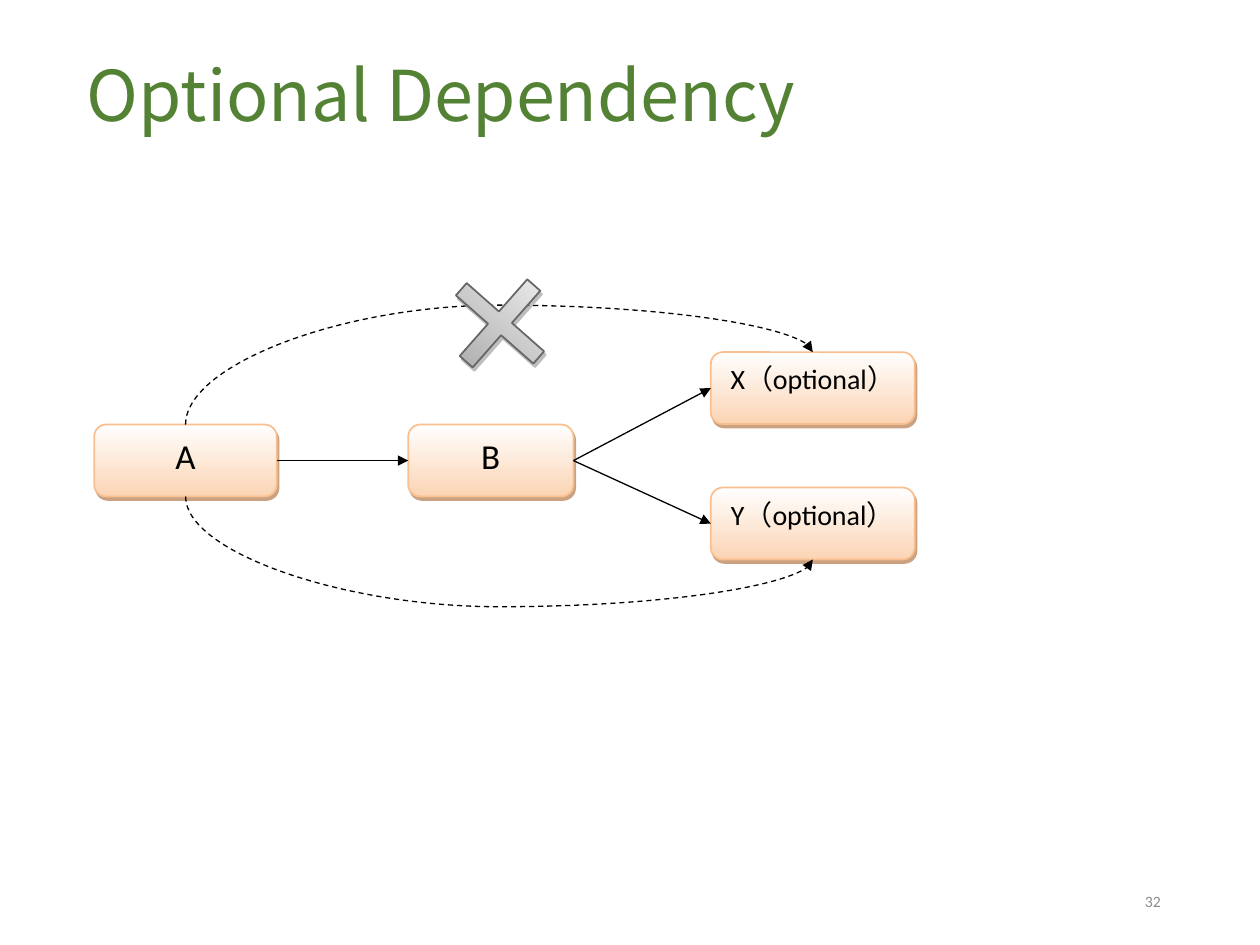
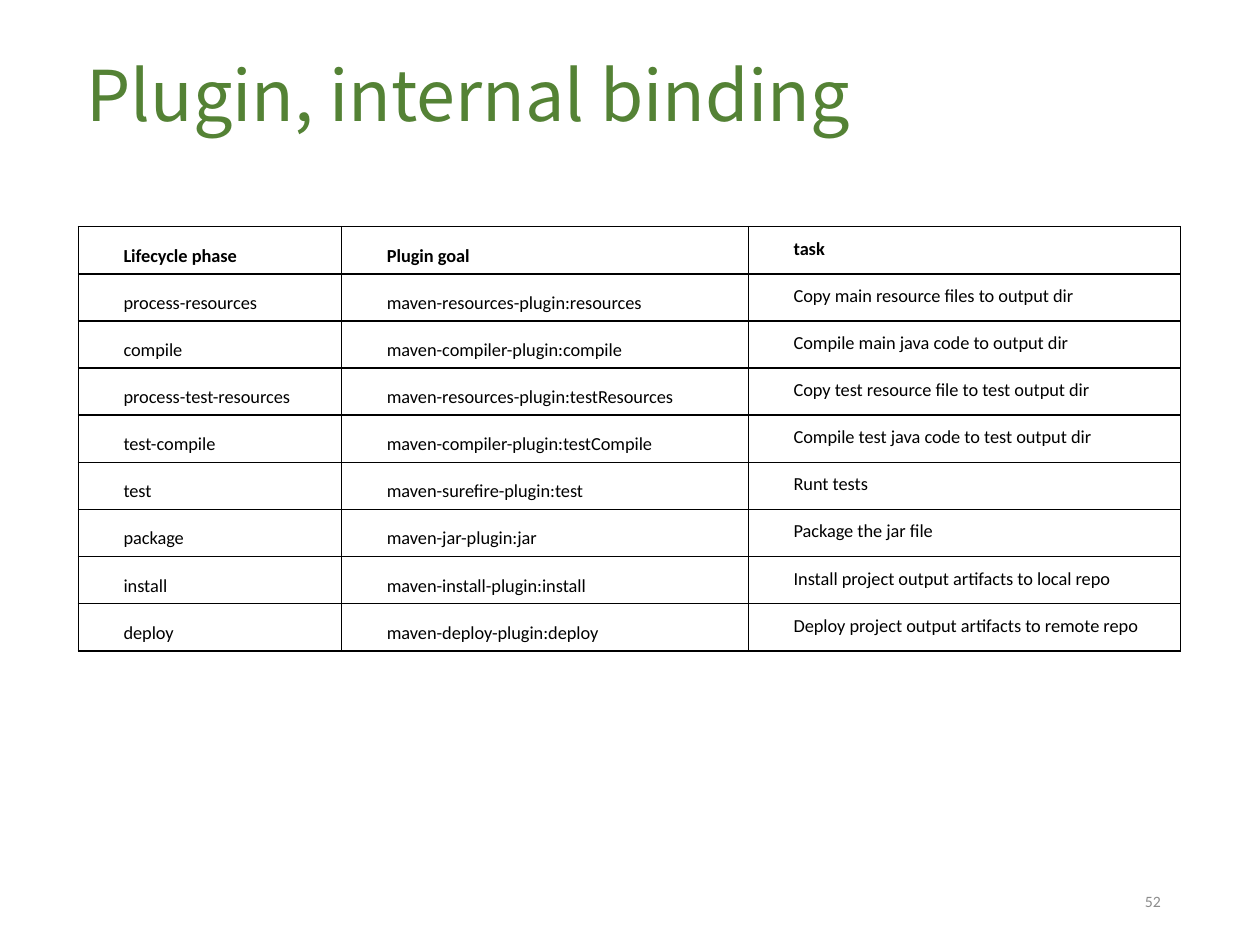
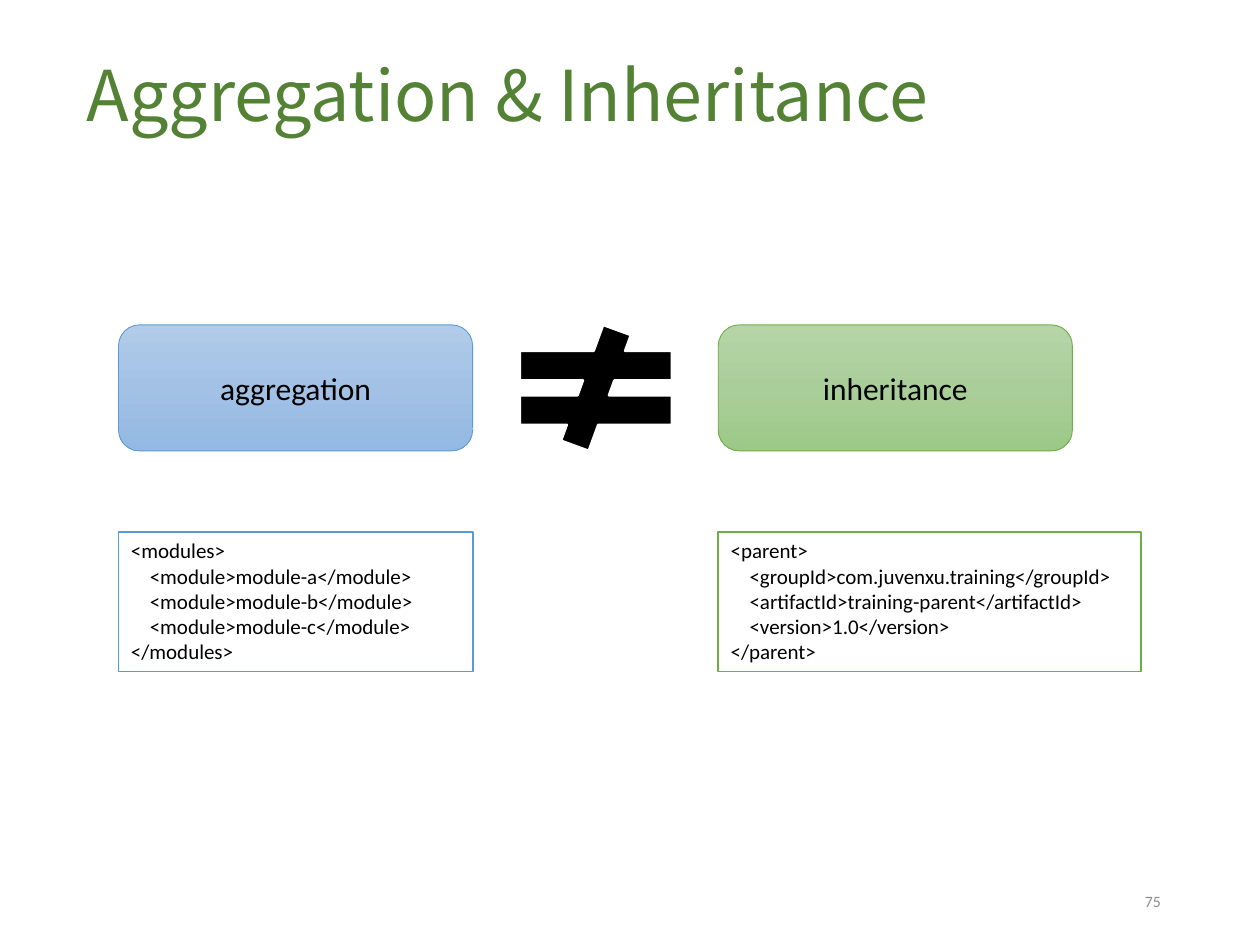
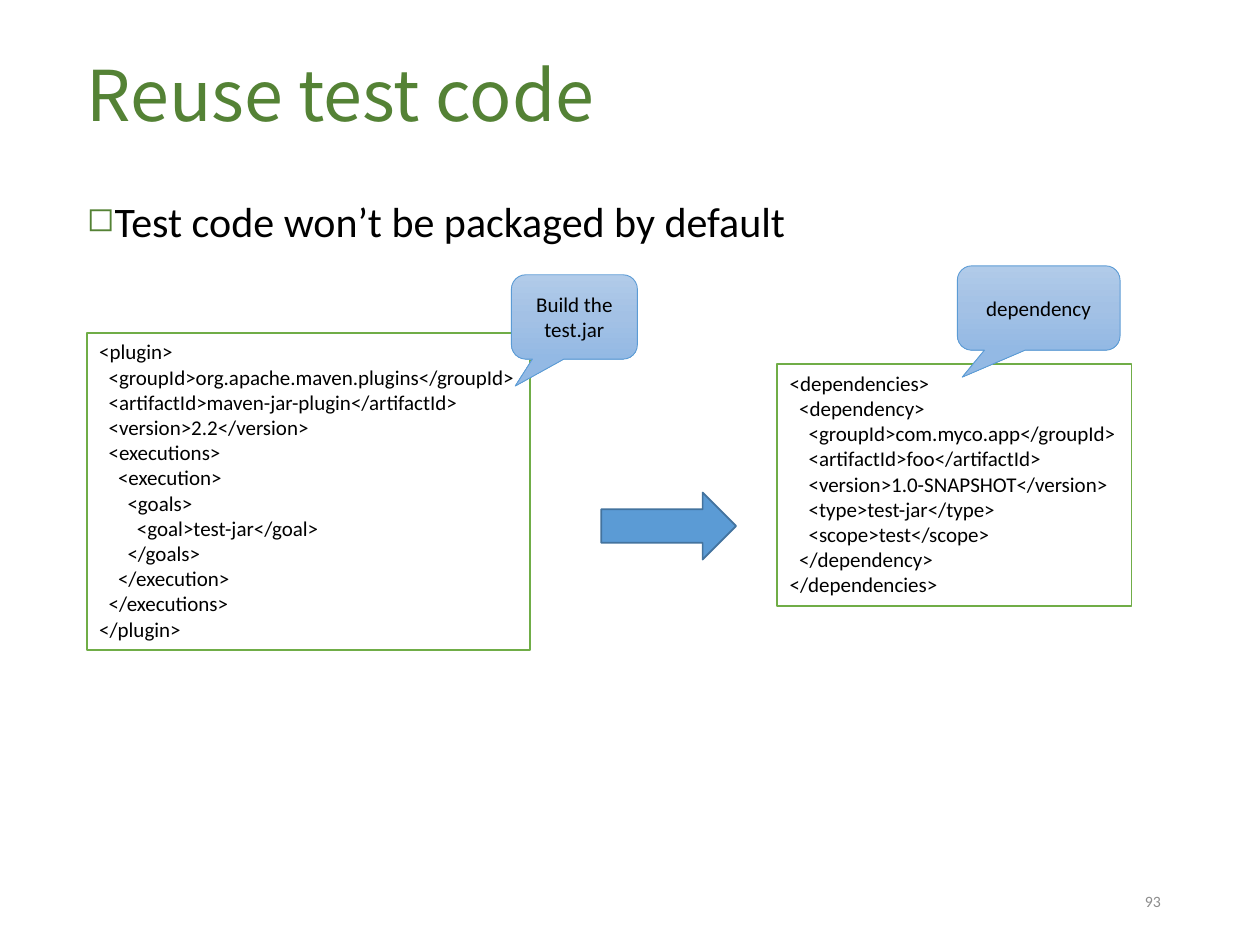
import copy
import dataclasses
import typing

import lxml.etree
import pptx
import pptx.dml.color
import pptx.enum.dml
import pptx.enum.shapes
import pptx.enum.text
import pptx.oxml.ns
import pptx.util

Cm = pptx.util.Cm
Pt = pptx.util.Pt
RGBColor = pptx.dml.color.RGBColor
KIND = pptx.enum.shapes.MSO_SHAPE
LINK = pptx.enum.shapes.MSO_CONNECTOR
ALIGN = pptx.enum.text.PP_ALIGN
ANCHOR = pptx.enum.text.MSO_ANCHOR
GROW = pptx.enum.text.MSO_AUTO_SIZE.SHAPE_TO_FIT_TEXT
qn = pptx.oxml.ns.qn

# Colours and fonts
BLACK = RGBColor(0x00, 0x00, 0x00)
WHITE = RGBColor(0xFF, 0xFF, 0xFF)
TITLE = RGBColor(0x54, 0x82, 0x35)
GREY = RGBColor(0x8C, 0x8C, 0x8C)
BLUE = RGBColor(0x5B, 0x9B, 0xD5)
NAVY = RGBColor(0x43, 0x73, 0x9E)
GREEN = RGBColor(0x70, 0xAD, 0x47)
PEACH = RGBColor(0xFB, 0xD4, 0xB4)
ORANGE = RGBColor(0xFA, 0xBF, 0x8F)
BROWN = RGBColor(0x97, 0x47, 0x06)
SILVER = RGBColor(0x99, 0x99, 0x99)
STEEL = RGBColor(0x66, 0x66, 0x66)
SHADE = RGBColor(0x7F, 0x7F, 0x7F)
BLUES = (RGBColor(0xB1, 0xCB, 0xE9), RGBColor(0xA3, 0xC1, 0xE5), RGBColor(0x93, 0xB9, 0xE4))
GREENS = (RGBColor(0xB5, 0xD5, 0xA7), RGBColor(0xAA, 0xCE, 0x9A), RGBColor(0x9C, 0xC9, 0x87))
BODY = "Calibri"
HEAD = "Noto Sans CJK JP"

Point = tuple[float, float]


@dataclasses.dataclass(frozen=True)
class Box:
    """A place on the slide, in centimetres."""
    left: float
    top: float
    wide: float
    high: float

    def place(self) -> list:
        return [Cm(v) for v in (self.left, self.top, self.wide, self.high)]

    def spot(self, across: float, down: float) -> Point:
        return self.left + across * self.wide, self.top + down * self.high


@dataclasses.dataclass(frozen=True)
class Look:
    """Fill colours from top to bottom, outline and shadow."""
    fill: tuple
    line: RGBColor
    width: float = 1
    shade: typing.Optional[RGBColor] = None


NODE = Look((WHITE, PEACH), ORANGE, shade=BROWN)
CROSS = Look((WHITE, SILVER), STEEL, shade=SHADE)
SKY = Look(BLUES, BLUE, 0.5)
LEAF = Look(GREENS, GREEN, 0.5)
BLUE_CODE = Look((WHITE,), BLUE)
GREEN_CODE = Look((WHITE,), GREEN)
UNEQUAL = Look((BLACK,), WHITE, 1.5)
ARROW = Look((BLUE,), NAVY)


def add_tag(parent, tag: str, **attrs):
    """Append one drawing element."""
    node = lxml.etree.SubElement(parent, qn(tag))
    for name, value in attrs.items():
        node.set(name, str(value))
    return node


def write(frame, text: str, *, size: float, color=BLACK, font=BODY, bold=False,
          align=None, anchor=None, space=None, indent=None, bullet=None,
          wrap=True, grow=False) -> None:
    """Fill a text frame, one paragraph for each line of text."""
    frame.word_wrap = wrap
    if anchor is not None:
        frame.vertical_anchor = anchor
    if grow:
        frame.auto_size = GROW
    for i, line in enumerate(text.split("\n")):
        para = frame.add_paragraph() if i else frame.paragraphs[0]
        props = para._p.get_or_add_pPr()
        if indent is not None:
            margin, first = indent
            props.set("marL", str(Cm(margin)))
            props.set("indent", str(Cm(first)))
        if bullet:
            add_tag(add_tag(props, "a:buClr"), "a:srgbClr", val=TITLE)
            add_tag(props, "a:buSzPct", val=80000)
            add_tag(props, "a:buChar", char=bullet)
        para.alignment = align or ALIGN.LEFT
        if space:
            para.line_spacing = space
        run = para.add_run()
        run.text = line
        run.font.size, run.font.bold, run.font.name = Pt(size), bold, font
        run.font.color.rgb = color


def add_text(slide, box: Box, text: str, **form) -> None:
    write(slide.shapes.add_textbox(*box.place()).text_frame, text, **form)


def add_form(slide, kind, box: Box, look: Look, text="", tune=(), **form):
    """Draw a preset shape with its look and optional text."""
    shape = slide.shapes.add_shape(kind, *box.place())
    for i, value in enumerate(tune):
        shape.adjustments[i] = value
    if len(look.fill) == 1:
        shape.fill.solid()
        shape.fill.fore_color.rgb = look.fill[0]
    else:
        shape.fill.gradient()
        shape.fill.gradient_angle = 270
        stops = shape._element.spPr.find(".//" + qn("a:gsLst"))
        for _ in look.fill[2:]:
            stops.append(copy.deepcopy(stops[0]))
        last = len(look.fill) - 1
        for i, stop in enumerate(shape.fill.gradient_stops):
            stop.position = i / last
            stop.color.rgb = look.fill[i]
    shape.line.color.rgb = look.line
    shape.line.width = Pt(look.width)
    shape.shadow.inherit = False
    if look.shade is not None:
        effects = shape._element.spPr.find(qn("a:effectLst"))
        cast = add_tag(effects, "a:outerShdw", blurRad=0, dist=Pt(2.2), dir=63 * 60000,
                       algn="ctr", rotWithShape=0)
        add_tag(add_tag(cast, "a:srgbClr", val=look.shade), "a:alpha", val=50000)
    if text:
        write(shape.text_frame, text, **form)
    return shape


def add_code(slide, box: Box, look: Look, text: str, wrap=True) -> None:
    add_form(slide, KIND.RECTANGLE, box, look, text, size=12, anchor=ANCHOR.TOP,
             wrap=wrap, grow=True)


def add_link(slide, start: Point, end: Point, kind=LINK.STRAIGHT):
    """Draw a thin black line with an arrowhead at its end."""
    link = slide.shapes.add_connector(kind, *(Cm(v) for v in start + end))
    link.line.color.rgb = BLACK
    link.line.width = Pt(0.75)
    add_tag(link.line._get_or_add_ln(), "a:tailEnd", type="triangle")
    add_tag(link._element.spPr, "a:effectLst")
    return link


def add_curve(slide, start: Point, end: Point, bow: float) -> None:
    """Draw a dashed arc; the frame is upright and then turned a quarter."""
    run, rise = end[0] - start[0], abs(end[1] - start[1])
    left = (start[0] + end[0] - rise) / 2
    top = (start[1] + end[1] - run) / 2
    link = add_link(slide, (left, top), (left + rise, top + run), LINK.CURVE)
    link.line.dash_style = pptx.enum.dml.MSO_LINE.DASH
    props = link._element.spPr
    frame = props.find(qn("a:xfrm"))
    frame.set("rot", str(270 * 60000))
    if end[1] > start[1]:
        frame.set("flipH", "1")
    guides = props.find(qn("a:prstGeom")).get_or_add_avLst()
    add_tag(guides, "a:gd", name="adj1", fmla=f"val {round(bow * 100000)}")


def add_slide(deck, title: str, wide: float, number: int):
    """Start a blank slide with its title and number."""
    slide = deck.slides.add_slide(deck.slide_layouts[6])
    add_text(slide, Box(1.5, 0.91, wide, 1.96), title, size=40, color=TITLE, font=HEAD)
    add_text(slide, Box(17.93, 17.65, 5.72, 1.02), str(number), size=9, color=GREY,
             align=ALIGN.RIGHT, anchor=ANCHOR.MIDDLE)
    return slide


def draw_option(deck) -> None:
    slide = add_slide(deck, "Optional Dependency", 15.39, 32)
    a = Box(1.9, 8.56, 3.68, 1.45)
    b = Box(8.23, 8.56, 3.33, 1.45)
    x = Box(14.33, 7.1, 4.11, 1.45)
    y = dataclasses.replace(x, top=9.83)
    nodes = ((a, "A", 20), (b, "B", 20), (x, "X（optional）", 16), (y, "Y（optional）", 16))
    for box, text, size in nodes:
        add_form(slide, KIND.FLOWCHART_ALTERNATE_PROCESS, box, NODE, text, size=size,
                 align=ALIGN.CENTER, anchor=ANCHOR.TOP)
    for head, tail in ((a, b), (b, x), (b, y)):
        add_link(slide, head.spot(1, 0.5), tail.spot(0, 0.5))
    add_curve(slide, a.spot(0.5, 0), x.spot(0.5, 0), 1.65)
    add_curve(slide, a.spot(0.5, 1), y.spot(0.5, 1), 1.75)
    cross = add_form(slide, KIND.CROSS, Box(9.04, 5.49, 2.08, 2.06), CROSS, tune=(0.42,))
    cross.rotation = 41.4


GOALS = (
    ("Lifecycle phase", "Plugin goal", "task"),
    ("process-resources", "maven-resources-plugin:resources",
     "Copy main resource files to output dir"),
    ("compile", "maven-compiler-plugin:compile", "Compile main java code to output dir"),
    ("process-test-resources", "maven-resources-plugin:testResources",
     "Copy test resource file to test output dir"),
    ("test-compile", "maven-compiler-plugin:testCompile",
     "Compile test java code to test output dir"),
    ("test", "maven-surefire-plugin:test", "Runt tests"),
    ("package", "maven-jar-plugin:jar", "Package the jar file"),
    ("install", "maven-install-plugin:install",
     "Install project output artifacts to local repo"),
    ("deploy", "maven-deploy-plugin:deploy",
     "Deploy project output artifacts to remote repo"),
)


def fill_cell(cell, text: str, bold: bool, anchor) -> None:
    """Write one table cell with black borders and no fill."""
    cell.margin_left = cell.margin_right = Cm(0.17)
    cell.margin_top = cell.margin_bottom = 0
    cell.vertical_anchor = anchor
    props = cell._tc.get_or_add_tcPr()
    for side in "LRTB":
        edge = add_tag(props, f"a:ln{side}", w=Pt(1))
        add_tag(add_tag(edge, "a:solidFill"), "a:srgbClr", val=BLACK)
    cell.fill.background()
    write(cell.text_frame, text, size=10.5, bold=bold, align=ALIGN.JUSTIFY,
          space=1.5, indent=(0, 0.74))


def draw_plugin(deck) -> None:
    slide = add_slide(deck, "Plugin, internal binding", 18.59, 52)
    widths, high = (5.31, 8.2, 8.71), 0.95
    box = Box(1.58, 4.57, sum(widths), high * len(GOALS))
    table = slide.shapes.add_table(len(GOALS), len(widths), *box.place()).table
    table.first_row = table.horz_banding = False
    for col, wide in zip(table.columns, widths):
        col.width = Cm(wide)
    for r, goal in enumerate(GOALS):
        table.rows[r].height = Cm(high)
        for c, text in enumerate(goal):
            fill_cell(table.cell(r, c), text, r == 0, ANCHOR.TOP if c == 2 else ANCHOR.MIDDLE)


MODULES = """<modules>
    <module>module-a</module>
    <module>module-b</module>
    <module>module-c</module>
</modules>"""

PARENT = """<parent>
    <groupId>com.juvenxu.training</groupId>
    <artifactId>training-parent</artifactId>
    <version>1.0</version>
</parent>"""


def draw_modules(deck) -> None:
    slide = add_slide(deck, "Aggregation & Inheritance", 17.6, 75)
    add_form(slide, KIND.MATH_NOT_EQUAL, Box(9.93, 6.55, 4.17, 2.54), UNEQUAL)
    sides = (
        (2.39, "aggregation", SKY, MODULES, BLUE_CODE, 7.14),
        (14.48, "inheritance", LEAF, PARENT, GREEN_CODE, 8.53),
    )
    for left, text, look, code, frame, wide in sides:
        add_form(slide, KIND.ROUNDED_RECTANGLE, Box(left, 6.55, 7.14, 2.54), look, text,
                 size=18, align=ALIGN.CENTER, anchor=ANCHOR.MIDDLE)
        add_code(slide, Box(left, 10.72, wide, 2.82), frame, code)


PLUGIN = """<plugin>
  <groupId>org.apache.maven.plugins</groupId>
  <artifactId>maven-jar-plugin</artifactId>
  <version>2.2</version>
  <executions>
    <execution>
      <goals>
        <goal>test-jar</goal>
      </goals>
    </execution>
  </executions>
</plugin>"""

DEPENDS = """<dependencies>
  <dependency>
    <groupId>com.myco.app</groupId>
    <artifactId>foo</artifactId>
    <version>1.0-SNAPSHOT</version>
    <type>test-jar</type>
    <scope>test</scope>
  </dependency>
</dependencies>"""


def draw_reuse(deck) -> None:
    slide = add_slide(deck, "Reuse test code", 12.98, 93)
    add_text(slide, Box(1.5, 3.94, 17.6, 2.01), "Test code won’t be packaged by default",
             size=24, space=0.9, indent=(0.48, -0.48), bullet="◻")
    parts = (
        (Box(1.75, 6.71, 8.94, 6.4), PLUGIN, Box(10.31, 5.54, 2.54, 1.7), "Build the test.jar"),
        (Box(15.67, 7.34, 7.14, 4.88), DEPENDS, Box(19.3, 5.36, 3.28, 1.7), "dependency"),
    )
    for box, code, bubble, text in parts:
        add_code(slide, box, GREEN_CODE, code, wrap=False)
        add_form(slide, KIND.ROUNDED_RECTANGULAR_CALLOUT, bubble, SKY, text,
                 tune=(-0.47, 0.82, 0.17), size=12, align=ALIGN.CENTER, anchor=ANCHOR.MIDDLE)
    add_form(slide, KIND.RIGHT_ARROW, Box(12.12, 9.93, 2.72, 1.35), ARROW)


def main() -> None:
    deck = pptx.Presentation()
    deck.slide_width, deck.slide_height = Cm(25.4), Cm(19.05)
    for draw in (draw_option, draw_plugin, draw_modules, draw_reuse):
        draw(deck)
    deck.save("out.pptx")


if __name__ == "__main__":
    main()
